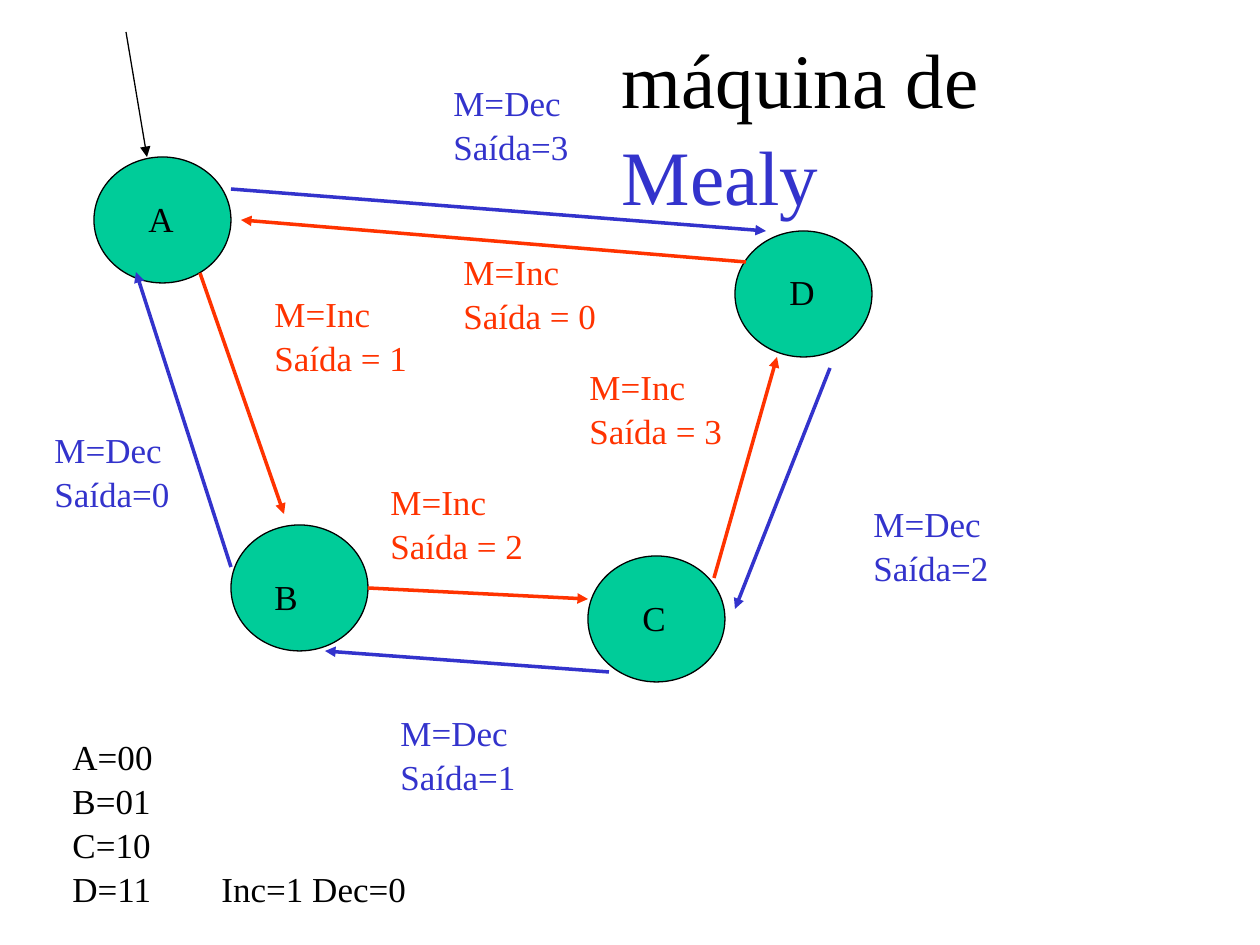
from lxml.etree import SubElement
from pptx import Presentation
from pptx.dml.color import RGBColor
from pptx.enum.shapes import MSO_CONNECTOR, MSO_SHAPE
from pptx.enum.text import MSO_ANCHOR, MSO_AUTO_SIZE, PP_ALIGN
from pptx.oxml.ns import qn
from pptx.util import Emu, Pt

FONT = "Times New Roman"
BLACK, BLUE, RED, GREEN = "000000", "3333CC", "FF3300", "00CC99"


def px(n):
    return Emu(round(n * 914400 / 126))


def rgb(color):
    return RGBColor.from_string(color)


class Board:
    def __init__(self, slide):
        self.slide = slide
        self.shapes = slide.shapes

    def setup(self, frame):
        frame.word_wrap = False
        frame.auto_size = MSO_AUTO_SIZE.NONE
        frame.vertical_anchor = MSO_ANCHOR.TOP

    def style(self, para, size, color):
        para.alignment = PP_ALIGN.LEFT
        para.line_spacing = 1.05
        para.font.name = FONT
        para.font.size = Pt(size)
        para.font.color.rgb = rgb(color)

    def title(self, x, y, w, h, parts):
        """Write the title from (text, color) parts."""
        shape = self.shapes.title
        shape.left, shape.top, shape.width, shape.height = map(px, (x, y, w, h))
        self.setup(shape.text_frame)
        para = shape.text_frame.paragraphs[0]
        self.style(para, 44, BLACK)
        for text, color in parts:
            run = para.add_run()
            run.text = text
            run.font.color.rgb = rgb(color)

    def text(self, x, y, w, h, lines, color=BLACK, tab=None):
        """Add a text box; tab is an optional stop in px."""
        frame = self.shapes.add_textbox(*map(px, (x, y, w, h))).text_frame
        self.setup(frame)
        frame.text = "\n".join(lines)
        for para in frame.paragraphs:
            if tab:
                stops = SubElement(para._p.get_or_add_pPr(), qn("a:tabLst"))
                SubElement(stops, qn("a:tab"), pos=str(px(tab)), algn="l")
            self.style(para, 20, color)

    def state(self, x, y):
        shape = self.shapes.add_shape(MSO_SHAPE.OVAL, *map(px, (x, y, 137, 126)))
        shape.shadow.inherit = False
        shape.fill.solid()
        shape.fill.fore_color.rgb = rgb(GREEN)
        shape.line.color.rgb = rgb(BLACK)
        shape.line.width = Pt(0.75)

    def arrow(self, start, end, color, width=2):
        line = self.shapes.add_connector(
            MSO_CONNECTOR.STRAIGHT, *map(px, (*start, *end)))
        line.line.color.rgb = rgb(color)
        line.line.width = Pt(width)
        SubElement(line.line._get_or_add_ln(), qn("a:tailEnd"), type="triangle")
        SubElement(line._element.spPr, qn("a:effectLst"))


# name, circle corner, name box corner
STATES = [
    ("A", (94, 157), (136, 189)),
    ("B", (231, 525), (262, 567)),
    ("C", (588, 556), (630, 588)),
    ("D", (735, 231), (777, 262)),
]
# start, end, label corner, output
INC = [
    ((200, 273), (284, 514), (262, 284), 1),
    ((368, 588), (588, 599), (378, 472), 2),
    ((714, 578), (777, 357), (577, 357), 3),
    ((746, 262), (241, 220), (451, 242), 0),
]
DEC = [
    ((231, 567), (136, 272), (42, 420), 0),
    ((609, 672), (325, 651), (388, 703), 1),
    ((830, 368), (735, 609), (861, 494), 2),
    ((231, 189), (766, 231), (441, 73), 3),
]


def main():
    deck = Presentation()
    deck.slide_width, deck.slide_height = px(1260), px(945)
    board = Board(deck.slides.add_slide(deck.slide_layouts[5]))

    board.title(609, 21, 598, 106, [("máquina de ", BLACK), ("Mealy", BLUE)])
    for name, spot, label in STATES:
        board.state(*spot)
    for name, spot, label in STATES:
        board.text(*label, 50, 55, [name])

    board.arrow((126, 32), (147, 157), BLACK, 0.75)
    for moves, name, sign, color, wide in (
            (INC, "Inc", " = ", RED, 158), (DEC, "Dec", "=", BLUE, 140)):
        for start, end, label, out in moves:
            board.arrow(start, end, color)
            board.text(*label, wide, 97, [f"M={name}", f"Saída{sign}{out}"], color)

    codes = ["A=00", "B=01", "C=10", "D=11\tInc=1 Dec=0"]
    board.text(60, 727, 360, 181, codes, tab=149)
    deck.save("out.pptx")


if __name__ == "__main__":
    main()
